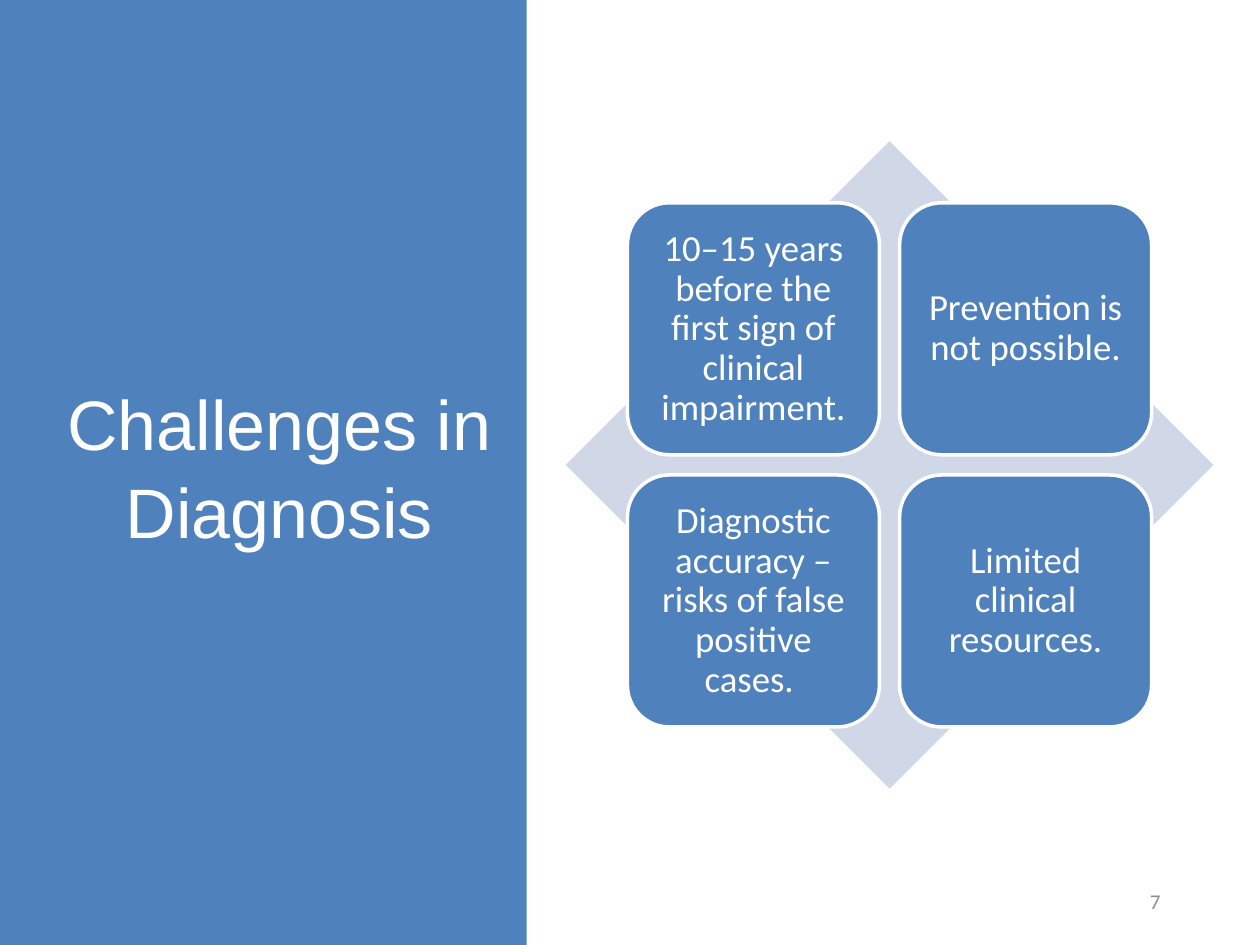
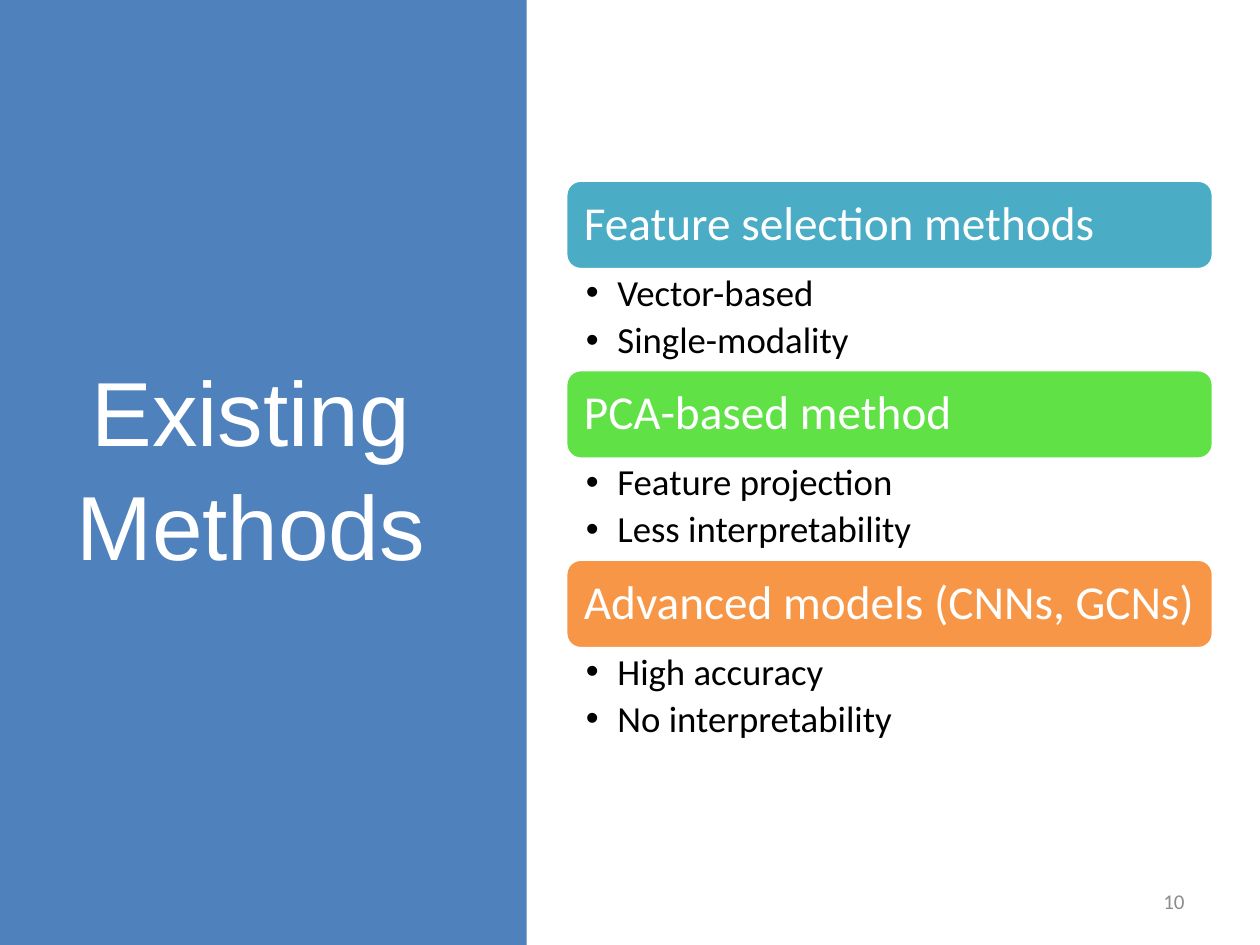
from lxml.etree import SubElement
from pptx import Presentation
from pptx.dml.color import RGBColor
from pptx.enum.shapes import MSO_SHAPE
from pptx.enum.text import MSO_ANCHOR, MSO_AUTO_SIZE, PP_ALIGN
from pptx.oxml.ns import qn
from pptx.util import Inches, Pt

COLORS = {
    "blue": "4F81BD", "pale": "D0D8E8", "teal": "4BACC6", "green": "60E146",
    "orange": "F79646", "white": "FFFFFF", "black": "000000", "gray": "8C8C8C",
}
# Slide grid: 100 columns by 75 rows of square cells
COLUMNS, ROWS = 100, 75
BAND_WIDTH = 41.8
CONTENT_LEFT, CONTENT_WIDTH = 44.9, 51.4


def color(name):
    return RGBColor.from_string(COLORS[name])


def add_bullet(paragraph, indent=0.25):
    properties = paragraph._p.get_or_add_pPr()
    properties.set("marL", str(Inches(indent)))
    properties.set("indent", str(-Inches(indent)))
    SubElement(properties, qn("a:buFont"), typeface="Arial")
    SubElement(properties, qn("a:buChar"), char="•")


def write(frame, *lines, size, ink="white", font="Calibri", align=PP_ALIGN.LEFT,
          anchor=MSO_ANCHOR.MIDDLE, insets=(0.1, 0.05, 0.1, 0.05),
          spacing=1.0, after=0, bullets=False):
    """Fill a text frame with one paragraph per line."""
    frame.word_wrap = True
    frame.auto_size = MSO_AUTO_SIZE.NONE
    frame.vertical_anchor = anchor
    (frame.margin_left, frame.margin_top,
     frame.margin_right, frame.margin_bottom) = map(Inches, insets)
    for number, line in enumerate(lines):
        paragraph = frame.add_paragraph() if number else frame.paragraphs[0]
        if bullets:
            add_bullet(paragraph)
        paragraph.alignment = align
        paragraph.line_spacing = spacing
        paragraph.space_before = Pt(0)
        paragraph.space_after = Pt(after)
        run = paragraph.add_run()
        run.text = line
        run.font.name, run.font.size, run.font.bold = font, Pt(size), False
        run.font.color.rgb = color(ink)


class Deck:
    """Holds the shared style and the slide being built."""

    def __init__(self):
        self.file = Presentation()
        self.file.slide_width, self.file.slide_height = Inches(10), Inches(7.5)
        self.slide = None

    def area(self, left, top, width, height):
        column = self.file.slide_width / COLUMNS
        row = self.file.slide_height / ROWS
        return (round(left * column), round(top * row),
                round(width * column), round(height * row))

    def place(self, shape, *cells):
        shape.left, shape.top, shape.width, shape.height = self.area(*cells)

    def start(self, layout, title, title_width, title_size):
        layouts = self.file.slide_layouts
        self.slide = self.file.slides.add_slide(layouts.get_by_name(layout))
        band = self.shape(MSO_SHAPE.RECTANGLE, (0, 0, BAND_WIDTH, ROWS), "blue")
        heading = self.slide.shapes.title
        heading._element.addprevious(band._element)
        self.place(heading, 4.3, 6.8, title_width, 60.2)
        write(heading.text_frame, title, size=title_size, font="Arial",
              align=PP_ALIGN.CENTER, spacing=1.04)

    def shape(self, kind, cells, fill, outline=None):
        shape = self.slide.shapes.add_shape(kind, *self.area(*cells))
        shape.shadow.inherit = False
        shape.fill.solid()
        shape.fill.fore_color.rgb = color(fill)
        if outline:
            shape.line.color.rgb = color(outline)
            shape.line.width = Pt(2)
        else:
            shape.line.fill.background()
        return shape

    def card(self, cells, fill, text, **style):
        card = self.shape(MSO_SHAPE.ROUNDED_RECTANGLE, cells, fill, "white")
        write(card.text_frame, text, spacing=0.9, **style)

    def bullet_list(self, index, cells, items):
        body = self.slide.placeholders[index]
        self.place(body, *cells)
        write(body.text_frame, *items, size=21, ink="black",
              anchor=MSO_ANCHOR.TOP, insets=(0.16, 0.04, 0.21, 0.04),
              spacing=0.9, after=4.2, bullets=True)

    def page_number(self, number, left, width):
        box = self.slide.shapes.add_textbox(*self.area(left, 69.5, width, 4))
        write(box.text_frame, number, size=12, ink="gray", align=PP_ALIGN.RIGHT)

    def remove_empty_placeholders(self):
        for holder in list(self.slide.placeholders):
            if not holder.text_frame.text:
                holder._element.getparent().remove(holder._element)


def build_challenges(deck):
    deck.start("Title Only", "Challenges in Diagnosis", 35.7, 40)
    deck.page_number("7", 70.6, 22.5)

    # Diamond behind a two by two grid of challenges
    diamond_top, tile, step = 11.2, 20, 21.6
    deck.shape(MSO_SHAPE.DIAMOND,
               (CONTENT_LEFT, diamond_top, CONTENT_WIDTH, CONTENT_WIDTH), "pale")
    margin = (CONTENT_WIDTH - step - tile) / 2
    challenges = [
        "10–15 years before the first sign of clinical impairment.",
        "Prevention is not possible.",
        "Diagnostic accuracy – risks of false positive cases. ",
        "Limited clinical resources.",
    ]
    for number, challenge in enumerate(challenges):
        row, column = divmod(number, 2)
        cells = (CONTENT_LEFT + margin + column * step,
                 diamond_top + margin + row * step, tile, tile)
        deck.card(cells, "blue", challenge, size=21,
                  align=PP_ALIGN.CENTER, insets=(0.09,) * 4)


def build_methods(deck):
    deck.start("Comparison", "Existing Methods", 31.2, 52)

    # Method headings, each with its traits below
    first_top, heading_height, list_height = 14.3, 7.1, 7.94
    methods = [
        ("Feature selection methods", "teal", ["Vector-based", "Single-modality"]),
        ("PCA-based method", "green", ["Feature projection", "Less interpretability"]),
        ("Advanced models (CNNs, GCNs)", "orange",
         ["High accuracy", "No interpretability"]),
    ]
    for number, (method, fill, traits) in enumerate(methods):
        top = first_top + number * (heading_height + list_height)
        deck.card((CONTENT_LEFT, top, CONTENT_WIDTH, heading_height), fill, method,
                  size=27, insets=(0.11,) * 4)
        deck.bullet_list(number + 1, (CONTENT_LEFT, top + heading_height,
                                      CONTENT_WIDTH, list_height), traits)
    deck.page_number("10", 71.7, 23.3)
    deck.remove_empty_placeholders()


def main():
    deck = Deck()
    build_challenges(deck)
    build_methods(deck)
    deck.file.save("out.pptx")


if __name__ == "__main__":
    main()
